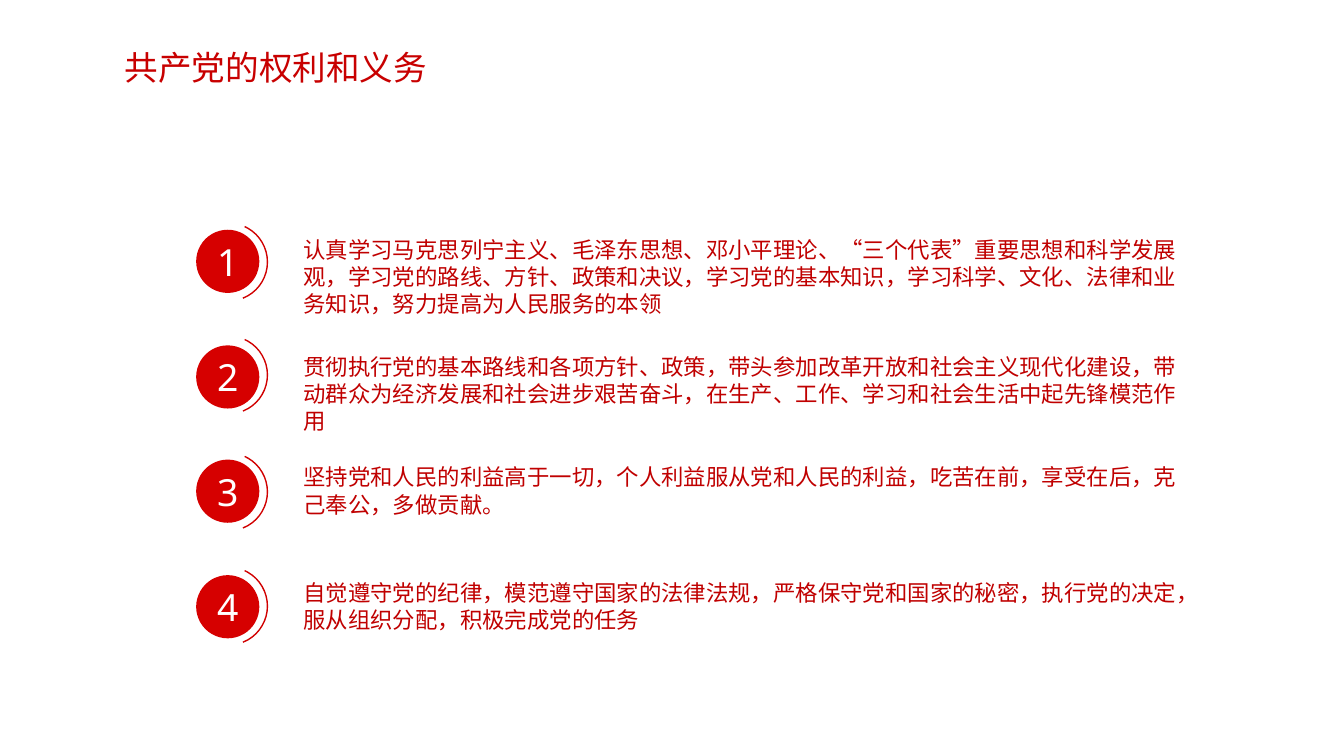
"""Build a slide that lists four numbered duties of party members."""
from typing import Any, NamedTuple

from pptx import Presentation
from pptx import util as u
from pptx.dml.color import RGBColor
from pptx.enum import shapes, text
from lxml import etree

SCALE = 9144
COLORS = {"title": "C80000", "body": "C00000", "disc": "D60000",
          "arc": "D10000", "num": "FFFFFF"}
NS = "http://schemas.openxmlformats.org/drawingml/2006/main"
HAN = "Noto Sans CJK SC"


class Box(NamedTuple):
    left: int
    top: int
    width: int
    height: int


class Style(NamedTuple):
    face: str
    size: int
    color: str
    align: Any = text.PP_ALIGN.LEFT
    space: Any = 1.0
    inset: int = 10


class Duty(NamedTuple):
    words: str
    top: int
    arc: int


TITLE = Style(HAN, 18, "title")
BODY = Style("Noto Sans", 12, "body", space=u.Pt(14.5))
NUMBER = Style("Noto Sans", 20, "num", text.PP_ALIGN.CENTER, inset=0)

DUTIES = [
    Duty("认真学习马克思列宁主义、毛泽东思想、邓小平理论、“三个代表”重要思想和科学发展观，"
         "学习党的路线、方针、政策和决议，学习党的基本知识，学习科学、文化、法律和业务知识，"
         "努力提高为人民服务的本领", 171, 166),
    Duty("贯彻执行党的基本路线和各项方针、政策，带头参加改革开放和社会主义现代化建设，"
         "带动群众为经济发展和社会进步艰苦奋斗，在生产、工作、学习和社会生活中起先锋模范作用",
         258, 250),
    Duty("坚持党和人民的利益高于一切，个人利益服从党和人民的利益，吃苦在前，享受在后，"
         "克己奉公，多做贡献。", 330, 337),
    Duty("自觉遵守党的纪律，模范遵守国家的法律法规，严格保守党和国家的秘密，执行党的决定，"
         "服从组织分配，积极完成党的任务", 416, 422),
]


def px(count: int) -> u.Emu:
    return u.Emu(count * SCALE)


def tint(name: str) -> RGBColor:
    return RGBColor.from_string(COLORS[name])


def assign(target: Any, values: dict[str, Any]) -> None:
    for name, value in values.items():
        setattr(target, name, value)


def write(shape: Any, words: str, style: Style) -> None:
    frame = shape.text_frame
    assign(frame, {"word_wrap": True, "vertical_anchor": text.MSO_ANCHOR.MIDDLE,
                   "margin_left": px(style.inset), "margin_right": px(style.inset),
                   "margin_top": px(style.inset // 2),
                   "margin_bottom": px(style.inset // 2)})
    para = frame.paragraphs[0]
    assign(para, {"alignment": style.align, "line_spacing": style.space})
    run = para.add_run()
    run.text = words
    assign(run.font, {"name": style.face, "size": u.Pt(style.size)})
    run.font.color.rgb = tint(style.color)
    etree.SubElement(run.font._element, f"{{{NS}}}ea", typeface=HAN)


def label(slide: Any, box: Box, words: str, style: Style) -> None:
    write(slide.shapes.add_textbox(*map(px, box)), words, style)


def disc(slide: Any, box: Box, words: str) -> None:
    shape = slide.shapes.add_shape(shapes.MSO_SHAPE.OVAL, *map(px, box))
    shape.shadow.inherit = False
    shape.fill.solid()
    shape.fill.fore_color.rgb = tint("disc")
    shape.line.fill.background()
    write(shape, words, NUMBER)


def curve(slide: Any, box: Box) -> None:
    shape = slide.shapes.add_shape(shapes.MSO_SHAPE.ARC, *map(px, box))
    shape.shadow.inherit = False
    shape.fill.background()
    shape.line.color.rgb = tint("arc")
    shape.line.width = u.Pt(0.75)
    for index, angle in enumerate((294.6, 68.18)):
        shape.adjustments[index] = angle * 0.6


def main() -> None:
    deck = Presentation()
    wide = px(1000)
    assign(deck, {"slide_width": wide, "slide_height": u.Emu(wide * 9 // 16)})
    slide = deck.slides.add_slide(deck.slide_layouts[6])
    label(slide, Box(83, 27, 900, 46), "共产党的权利和义务", TITLE)
    for duty in DUTIES:
        label(slide, Box(216, duty.top, 678, 70), duty.words, BODY)
    for index in range(len(DUTIES)):
        top = round(171 + index * 257 / 3)
        disc(slide, Box(146, top, 47, 47), str(index + 1))
    for duty in DUTIES:
        curve(slide, Box(141, duty.arc, 58, 58))
    deck.save("out.pptx")


if __name__ == "__main__":
    main()
